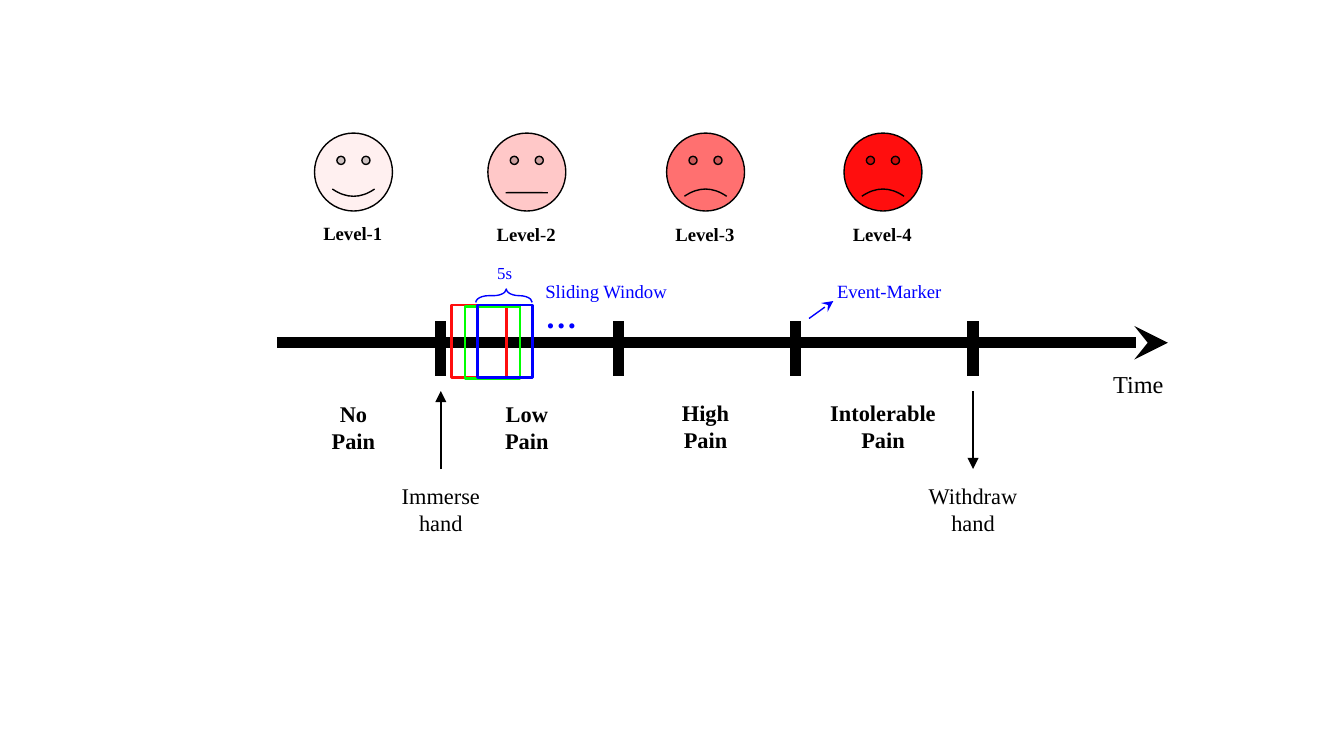
from pptx import Presentation
from pptx.dml.color import RGBColor
from pptx.enum.shapes import MSO_CONNECTOR, MSO_SHAPE
from pptx.enum.text import MSO_AUTO_SIZE, PP_ALIGN
from pptx.oxml.ns import qn
from pptx.util import Inches, Pt
from lxml.etree import SubElement

HUES = {
    "ink": "000000", "blue": "0000FF", "green": "00FF00", "red": "FF0E0E",
    "pale": "FFF0F0", "pink": "FFC8C8", "coral": "FF7070",
}


class Board:
    face = "Times New Roman"

    def __init__(self, slide):
        self.slide = slide

    def hue(self, name):
        return RGBColor.from_string(HUES[name])

    def text(self, box, lines, size, hue="ink", bold=False, mid=True, grow=False):
        """Add a text box; each line is a list of (words, bold) runs or a string."""
        frame = self.slide.shapes.add_textbox(*map(Inches, box)).text_frame
        frame.word_wrap = True
        frame.auto_size = MSO_AUTO_SIZE.SHAPE_TO_FIT_TEXT if grow else MSO_AUTO_SIZE.NONE
        frame.margin_left = frame.margin_right = Inches(0.1)
        frame.margin_top = frame.margin_bottom = Inches(0.1)
        for i, line in enumerate(lines):
            para = frame.add_paragraph() if i else frame.paragraphs[0]
            para.alignment = PP_ALIGN.CENTER if mid else PP_ALIGN.LEFT
            font = para.font
            font.name, font.size, font.bold = self.face, Pt(size), bold
            font.color.rgb = self.hue(hue)
            runs = [(line, None)] if isinstance(line, str) else line
            for words, heavy in runs:
                run = para.add_run()
                run.text = words
                if heavy is not None:
                    run.font.bold = heavy

    def shape(self, kind, box, line="ink", width=0.75, fill=None, adjust=(), turn=0):
        item = self.slide.shapes.add_shape(kind, *map(Inches, box))
        item.shadow.inherit = False
        item.rotation = turn
        for i, value in enumerate(adjust):
            item.adjustments[i] = value
        if fill:
            item.fill.solid()
            item.fill.fore_color.rgb = self.hue(fill)
        else:
            item.fill.background()
        item.line.color.rgb = self.hue(line)
        item.line.width = Pt(width)

    def line(self, start, end, hue="ink", width=0.75, tip=None):
        item = self.slide.shapes.add_connector(
            MSO_CONNECTOR.STRAIGHT, *map(Inches, (*start, *end)))
        item.line.color.rgb = self.hue(hue)
        item.line.width = Pt(width)
        if tip:
            SubElement(item.line._get_or_add_ln(), qn("a:tailEnd"), type=tip)
        SubElement(item._element.spPr, qn("a:effectLst"))


def main():
    deck = Presentation()
    deck.slide_width = Inches(10)
    deck.slide_height = deck.slide_width * 9 // 16
    board = Board(deck.slides.add_slide(deck.slide_layouts[6]))

    # Time axis with event markers
    first, step = 3.28, 1.32
    last = first + 3 * step
    board.line((2.06, 2.55), (8.69, 2.55), width=6, tip="stealth")
    for i in range(4):
        x = first + i * step
        board.line((x, 2.39), (x, 2.8), width=6)
    board.text((8.18, 2.65, 0.58, 0.42), ["Time"], 13)

    # Pain levels: centre, fill, mouth curve, caption, caption width and top
    levels = [
        (2.63, "pale", 0.047, "No Pain", 0.6, 2.88),
        (3.92, "pink", -0.001, "Low Pain", 0.6, 2.88),
        (5.25, "coral", -0.047, "High Pain", 0.6, 2.87),
        (6.57, "red", -0.047, "Intolerable Pain", 0.99, 2.87),
    ]
    for i, (x, fill, curve, pain, wide, top) in enumerate(levels, 1):
        board.shape(MSO_SHAPE.SMILEY_FACE, (x - 0.29, 0.99, 0.58, 0.58),
                    fill=fill, adjust=[curve])
        label = [("Level", None), ("-", False), (str(i), None)]
        board.text((x - 0.49, 1.55 if i == 1 else 1.56, 0.97, 0.44),
                   [label], 10, bold=True)
        board.text((x - wide / 2, top, wide, 0.5), [pain], 12, bold=True)

    # Hand events
    low, high = 3.49, 2.91
    for x, verb, start, end in [(first, "Immerse", low, high),
                                (last, "Withdraw", high, low)]:
        board.line((x, start), (x, end), tip="triangle")
        board.text((x - 0.44, low, 0.88, 0.42), [verb, "hand"], 12)

    # Sliding windows
    for x, y, hue in [(3.36, 2.27, "red"), (3.46, 2.28, "green"), (3.55, 2.27, "blue")]:
        board.shape(MSO_SHAPE.RECTANGLE, (x, y, 0.41, 0.54), hue, 1.5)
    board.shape(MSO_SHAPE.RIGHT_BRACE, (3.7, 1.99, 0.1, 0.42), "blue",
                adjust=[1.477, 0.542], turn=270)
    board.text((3.54, 1.88, 0.43, 0.35), ["5s"], 9, "blue", grow=True)
    board.text((3.96, 2.11, 0.81, 0.49), ["…"], 17, "blue", True, False, True)
    for x, wide, words in [(3.96, 2.23, "Sliding Window"), (6.13, 1.57, "Event-Marker")]:
        board.text((x, 2, wide, 0.37), [words], 10, "blue", mid=False, grow=True)
    board.line((6.02, 2.37), (6.2, 2.24), "blue", tip="stealth")

    deck.save("out.pptx")


if __name__ == "__main__":
    main()
